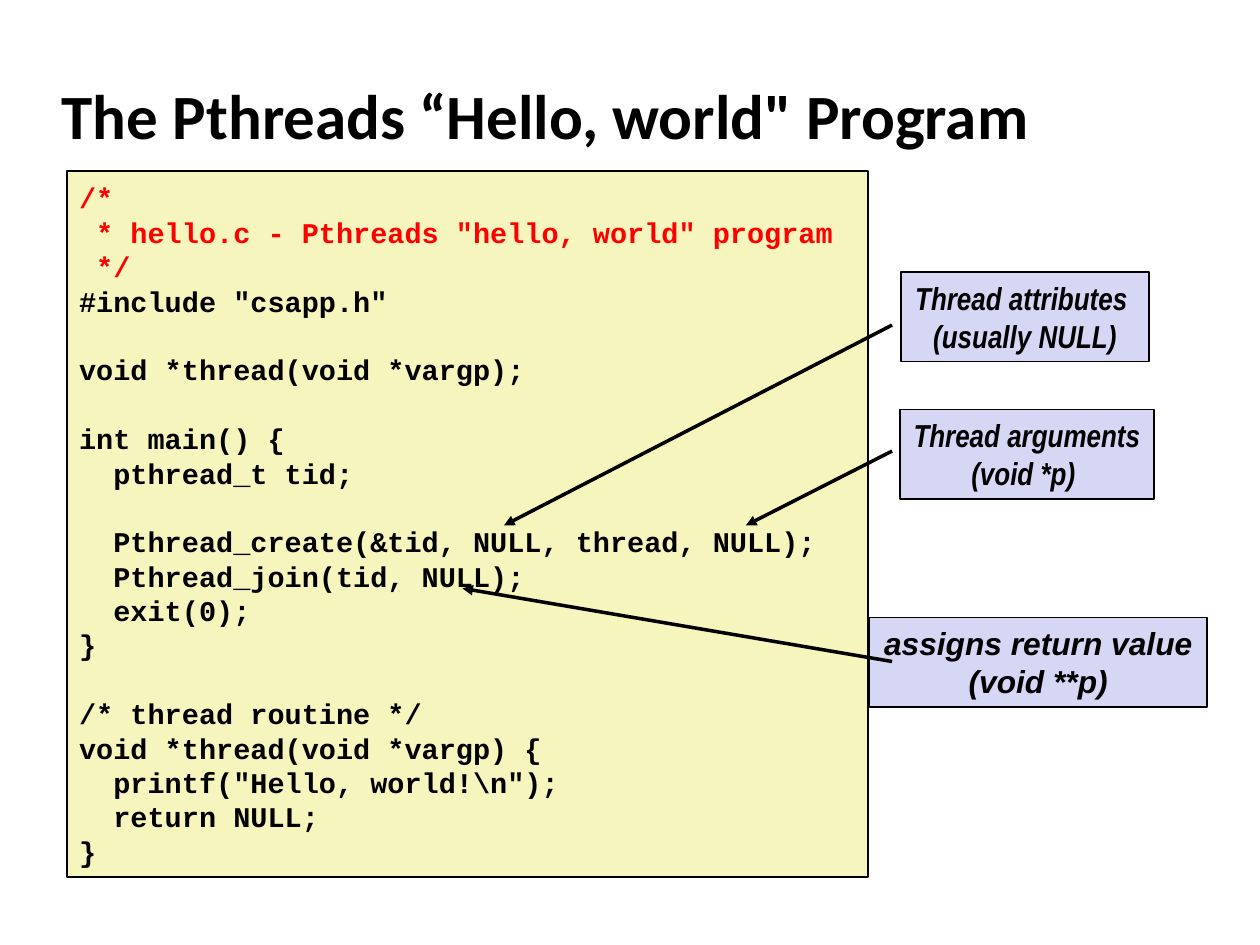
from pptx import Presentation
from pptx.dml.color import RGBColor
from pptx.enum import shapes, text
from pptx.oxml.ns import qn
from pptx.util import Inches, Pt
from lxml import etree

BLACK = RGBColor(0, 0, 0)
RED = RGBColor(0xFF, 0, 0)
CREAM = RGBColor(0xF6, 0xF5, 0xBD)
LILAC = RGBColor(0xD6, 0xD6, 0xF5)
LEFT, MID = text.PP_ALIGN.LEFT, text.PP_ALIGN.CENTER

CODE = r'''/*
 * hello.c - Pthreads "hello, world" program
 */
#include "csapp.h"

void *thread(void *vargp);

int main() {
  pthread_t tid;

  Pthread_create(&tid, NULL, thread, NULL);
  Pthread_join(tid, NULL);
  exit(0);
}

/* thread routine */
void *thread(void *vargp) {
  printf("Hello, world!\n");
  return NULL;
}'''

prs = Presentation()
prs.slide_width, prs.slide_height = Inches(10), Inches(7.5)
slide = prs.slides.add_slide(prs.slide_layouts[5])


def style(font, **look):
    font.color.rgb = look.pop("color", BLACK)
    for key, val in look.items():
        setattr(font, key, val)


def add_box(spot, fill, lines, align, pitch, **look):
    """Draw a framed box; an empty line becomes space before the next one."""
    box = slide.shapes.add_shape(shapes.MSO_SHAPE.RECTANGLE, *map(Inches, spot))
    box.shadow.inherit = False
    box.fill.solid()
    box.fill.fore_color.rgb = fill
    box.line.color.rgb = BLACK
    box.line.width = Pt(1)
    frame = box.text_frame
    frame.word_wrap = False
    frame.vertical_anchor = text.MSO_ANCHOR.MIDDLE
    para, gap = frame.paragraphs[0], 0
    for num, line in enumerate(lines):
        if not line:
            gap = pitch
            continue
        if num:
            para = frame.add_paragraph()
        para.alignment = align
        para.line_spacing = Pt(pitch)
        para.space_before = Pt(gap)
        gap = 0
        run = para.add_run()
        run.text = line
        style(run.font, bold=True, **look)
    return frame


# Title
title = slide.shapes.title
title.left, title.top, title.width, title.height = map(Inches, (0.39, 0.49, 8.3, 0.83))
title.text_frame.text = "The Pthreads “Hello, world\" Program"
title.text_frame.vertical_anchor = text.MSO_ANCHOR.MIDDLE
head = title.text_frame.paragraphs[0]
head.alignment = LEFT
style(head.runs[0].font, name="Calibri", size=Pt(36), bold=True)

# Code listing, with its opening comment in red
code = add_box((0.53, 1.36, 6.36, 5.6), CREAM, CODE.split("\n"), LEFT, 19.64,
               name="Courier New", size=Pt(16.3))
code.word_wrap = True
for para in code.paragraphs[:3]:
    para.runs[0].font.color.rgb = RED

# Callouts
for left, top, width, face, lines in (
    (7.15, 2.16, 1.97, "Arial Narrow", ("Thread attributes ", "(usually NULL)")),
    (7.14, 3.25, 2.02, "Arial Narrow", ("Thread arguments", "(void *p) ")),
    (6.9, 4.9, 2.68, "Arial", ("assigns return value", "(void **p)")),
):
    add_box((left, top, width, 0.71), LILAC, lines, MID, 21.7,
            name=face, size=Pt(18.1), italic=True)

# Arrows from the callouts into the code
for start, tip_x, tip_y in ((2.58, 4, 4.17), (3.58, 5.92, 4.17), (5.25, 3.67, 4.67)):
    arrow = slide.shapes.add_connector(
        shapes.MSO_CONNECTOR.STRAIGHT, *map(Inches, (7.08, start, tip_x, tip_y)))
    arrow.line.color.rgb = BLACK
    arrow.line.width = Pt(2)
    etree.SubElement(arrow.line._get_or_add_ln(), qn("a:tailEnd"), type="triangle")
    etree.SubElement(arrow._element.spPr, qn("a:effectLst"))

prs.save("out.pptx")
